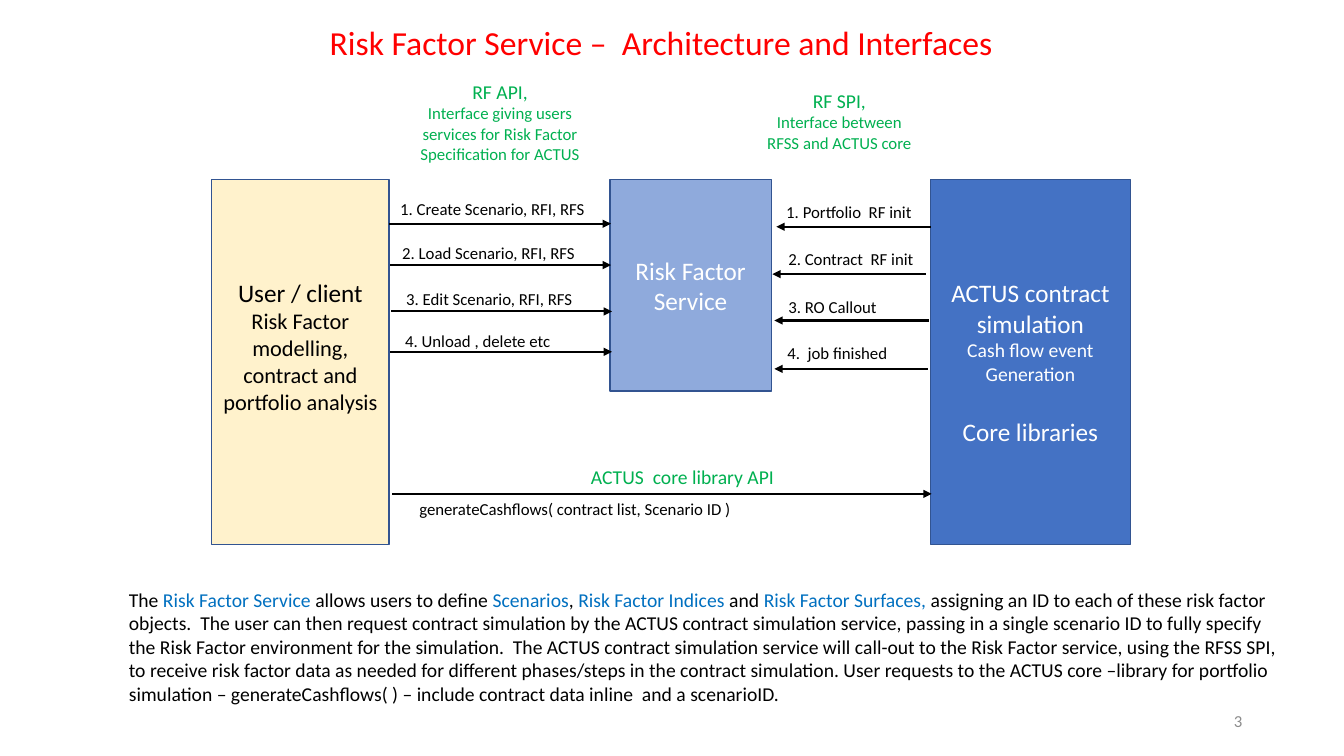
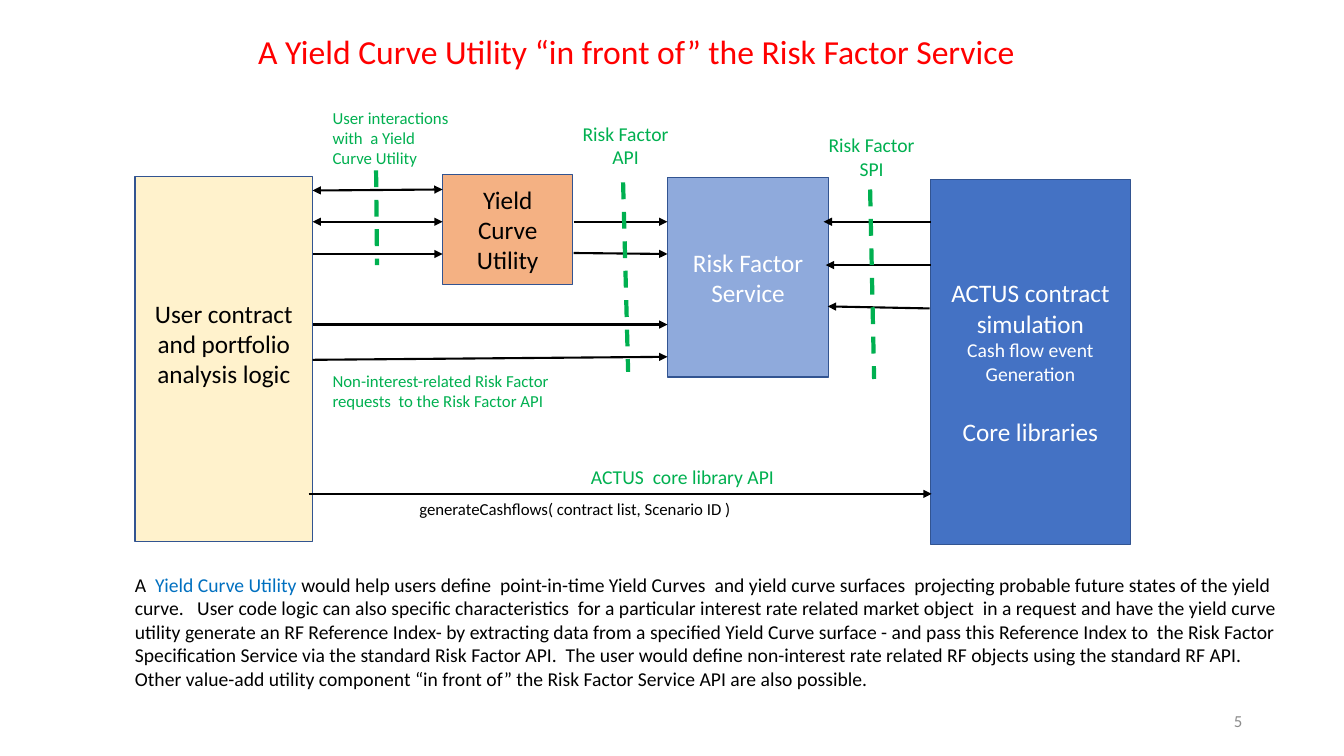
"""Build two slides on the architecture around a risk factor service."""
from dataclasses import dataclass
from lxml.etree import SubElement
from pptx import Presentation
from pptx.dml.color import RGBColor
from pptx.enum.dml import MSO_LINE
from pptx.enum.shapes import MSO_CONNECTOR, MSO_SHAPE
from pptx.enum.text import MSO_ANCHOR, MSO_AUTO_SIZE, PP_ALIGN
from pptx.oxml.ns import qn
from pptx.util import Inches, Pt


@dataclass(frozen=True)
class Theme:
    """Colours, type sizes and line widths."""
    font: str = "Calibri"
    red: str = "FF0000"
    green: str = "00B050"
    link: str = "0070C0"
    ink: str = "000000"
    white: str = "FFFFFF"
    grey: str = "8C8C8C"
    edge: str = "325491"
    cream: str = "FFF2CC"
    sky: str = "8FAADC"
    navy: str = "4472C4"
    peach: str = "F4B183"
    title: int = 24
    head: int = 18
    sub: int = 16
    body: int = 14
    note: int = 12
    thin: float = 1.5
    thick: float = 3


T = Theme()
LEFT, MID, RIGHT = PP_ALIGN.LEFT, PP_ALIGN.CENTER, PP_ALIGN.RIGHT
GAP = 22
FOOT = 0.36

SIM = [("ACTUS contract simulation", T.head), ("Cash flow event", T.body),
       ("Generation", T.body), ("Core libraries", T.head, GAP)]
SERVICE = [("Risk Factor", T.head), ("Service", T.head)]
CALL = "generateCashflows( contract list, Scenario ID )"
CORE = "ACTUS  core library API"

SLIDES = [
    dict(
        title="Risk Factor Service –  Architecture and Interfaces",
        spot=(3.17, 0.17, 6.99, 0.5), number="3", start=3.89,
        boxes=[
            (SERVICE, (6.05, 1.78, 1.6, 2.1), T.sky, T.white, 0.05),
            ([("User / client", T.head), ("Risk Factor modelling,", T.sub),
              ("contract and portfolio analysis", T.sub)],
             (2.1, 1.78, 1.76, 3.62), T.cream, T.ink, FOOT)],
        labels=[
            ([("RF API,", T.body),
              ("Interface giving users services for Risk Factor "
               "Specification for ACTUS", T.note)], (3.98, 0.74, 1.96, 0.94), MID),
            ([("RF SPI,", T.body),
              ("Interface between RFSS and ACTUS core", T.note)],
             (7.48, 0.83, 1.69, 0.74), MID)],
        steps=[
            ("1. Create Scenario, RFI, RFS", (3.87, 1.92, 2.09, 0.3)),
            ("2. Load Scenario, RFI, RFS", (3.89, 2.36, 1.97, 0.3)),
            ("3. Edit Scenario, RFI, RFS", (3.93, 2.82, 1.95, 0.3)),
            ("4. Unload , delete etc", (3.92, 3.23, 1.74, 0.3)),
            ("1. Portfolio  RF init", (7.7, 1.95, 1.5, 0.3)),
            ("2. Contract  RF init", (7.72, 2.42, 1.5, 0.3)),
            ("3. RO Callout", (7.72, 2.89, 1.17, 0.3)),
            ("4.  job finished", (7.71, 3.35, 1.32, 0.3))],
        arrows=[
            (3.86, 2.22, 6.06, 2.22), (3.87, 2.63, 6.06, 2.63),
            (3.88, 3.09, 6.07, 3.09), (3.87, 3.49, 6.07, 3.49),
            (9.23, 2.25, 7.7, 2.25), (9.18, 2.72, 7.66, 2.72),
            (9.21, 3.18, 7.68, 3.18), (9.2, 3.66, 7.68, 3.66)],
        doubles=[], dashes=[],
        text="The *Risk Factor Service *allows users to define *Scenarios*, "
             "*Risk Factor Indices *and *Risk Factor Surfaces,* assigning an ID "
             "to each of these risk factor objects.  The user can then request "
             "contract simulation by the ACTUS contract simulation service, "
             "passing in a single scenario ID to fully specify the Risk Factor "
             "environment for the simulation.  The ACTUS contract simulation "
             "service will call-out to the Risk Factor service, using the RFSS "
             "SPI, to receive risk factor data as needed for different "
             "phases/steps in the contract simulation. User requests to the "
             "ACTUS core –library for portfolio simulation – "
             "generateCashflows( ) – include contract data inline  and a "
             "scenarioID.",
        place=(1.18, 5.78, 11.64, 1.28)),
    dict(
        title="A Yield Curve Utility “in front of” the Risk Factor Service",
        spot=(2.46, 0.26, 7.85, 0.5), number="5", start=3.06,
        boxes=[
            (SERVICE, (6.62, 1.76, 1.6, 1.98), T.sky, T.white, 0.05),
            ([("User contract and portfolio analysis logic", T.head)],
             (1.34, 1.75, 1.76, 3.62), T.cream, T.ink, FOOT),
            ([("Yield Curve Utility", T.head)],
             (4.39, 1.73, 1.29, 1.09), T.peach, T.ink, 0.05)],
        labels=[
            ([("User interactions with  a Yield Curve Utility", T.note)],
             (3.2, 1.02, 1.41, 0.71), LEFT),
            ([("Risk Factor", T.body), ("API", T.body)],
             (5.36, 1.16, 1.69, 0.57), MID),
            ([("Risk Factor", T.body), ("SPI", T.body)],
             (7.8, 1.27, 1.69, 0.57), MID),
            ([("Non-interest-related Risk Factor requests  to the Risk Factor "
               "API", T.note)], (3.2, 3.63, 2.44, 0.5), LEFT)],
        steps=[],
        arrows=[
            (3.1, 2.52, 4.39, 2.52), (5.69, 2.2, 6.62, 2.2),
            (5.69, 2.51, 6.62, 2.52), (3.1, 3.22, 6.62, 3.22),
            (3.1, 3.57, 6.62, 3.54), (9.23, 2.2, 8.17, 2.2),
            (9.23, 2.63, 8.19, 2.63), (9.22, 3.06, 8.21, 3.04)],
        doubles=[(3.1, 1.89, 4.39, 1.88), (3.1, 2.2, 4.39, 2.2)],
        dashes=[(3.73, 1.69, 3.74, 2.63), (6.18, 1.81, 6.23, 3.69),
                (8.63, 1.88, 8.67, 3.76)],
        text="A  *Yield Curve Utility *would help users define  point-in-time "
             "Yield Curves  and yield curve surfaces  projecting probable future "
             "states of the yield curve.   User code logic can also specific "
             "characteristics  for a particular interest rate related market "
             "object  in a request and have the yield curve utility generate an "
             "RF Reference Index- by extracting data from a specified Yield "
             "Curve surface - and pass this Reference Index to  the Risk Factor "
             "Specification Service via the standard Risk Factor API.  The user "
             "would define non-interest rate related RF objects using the "
             "standard RF API. Other value-add utility component “in front of” "
             "the Risk Factor Service API are also possible.",
        place=(1.24, 5.63, 11.64, 1.28)),
]


def rgb(code):
    """Turn a hex code into a colour."""
    return RGBColor.from_string(code)


def write(shape, lines, color=T.ink, align=LEFT, anchor=MSO_ANCHOR.TOP, foot=0.05):
    """Fill a shape with (text, size, gap) lines; asterisks enclose link-coloured runs."""
    frame = shape.text_frame
    frame.word_wrap = True
    frame.auto_size = MSO_AUTO_SIZE.NONE
    frame.vertical_anchor = anchor
    frame.margin_left = frame.margin_right = Inches(0.1)
    frame.margin_top, frame.margin_bottom = Inches(0.05), Inches(foot)
    for row, (text, size, *gap) in enumerate(lines):
        para = frame.add_paragraph() if row else frame.paragraphs[0]
        para.alignment = align
        para.space_before = Pt(gap[0] if gap else 0)
        for turn, part in enumerate(text.split("*")):
            run = para.add_run()
            run.text = part
            run.font.name, run.font.size = T.font, Pt(size)
            run.font.color.rgb = rgb(T.link if turn % 2 else color)


def label(slide, lines, at, **form):
    """Add a text box."""
    write(slide.shapes.add_textbox(*map(Inches, at)), lines, **form)


def block(slide, lines, at, fill, color, foot=0.05):
    """Add a filled box with centred text."""
    shape = slide.shapes.add_shape(MSO_SHAPE.RECTANGLE, *map(Inches, at))
    shape.shadow.inherit = False
    shape.fill.solid()
    shape.fill.fore_color.rgb = rgb(fill)
    shape.line.color.rgb = rgb(T.edge)
    shape.line.width = Pt(1)
    write(shape, lines, color=color, align=MID, anchor=MSO_ANCHOR.MIDDLE, foot=foot)


def link(slide, ends, tips=("tailEnd",), color=T.ink, width=T.thin, dash=None):
    """Add a straight line with arrow tips."""
    wire = slide.shapes.add_connector(MSO_CONNECTOR.STRAIGHT, *map(Inches, ends))
    wire.line.color.rgb = rgb(color)
    wire.line.width = Pt(width)
    if dash:
        wire.line.dash_style = dash
    props = wire._element.spPr
    for tip in tips:
        SubElement(props.find(qn("a:ln")), qn("a:" + tip), type="triangle")
    SubElement(props, qn("a:effectLst"))


def build(deck, data):
    """Add one slide."""
    slide = deck.slides.add_slide(deck.slide_layouts[5])
    title = slide.shapes.title
    title.left, title.top, title.width, title.height = map(Inches, data["spot"])
    write(title, [(data["title"], T.title)], color=T.red)
    block(slide, SIM, (9.23, 1.78, 1.98, 3.62), T.navy, T.white)
    for box in data["boxes"]:
        block(slide, *box)
    for ends in data["arrows"] + [(data["start"], 4.9, 9.24, 4.9)]:
        link(slide, ends)
    for ends in data["doubles"]:
        link(slide, ends, tips=("headEnd", "tailEnd"))
    for ends in data["dashes"]:
        link(slide, ends, tips=(), color=T.green, width=T.thick, dash=MSO_LINE.DASH)
    for text, at in data["steps"] + [(CALL, (4.06, 4.9, 3.51, 0.3))]:
        label(slide, [(text, T.note)], at)
    core = ([(CORE, T.body)], (5.45, 4.56, 2.64, 0.34), MID)
    for lines, at, align in data["labels"] + [core]:
        label(slide, lines, at, color=T.green, align=align)
    label(slide, [(data["text"], T.body)], data["place"])
    label(slide, [(data["number"], T.note)], (9.42, 6.95, 3, 0.4),
          color=T.grey, align=RIGHT, anchor=MSO_ANCHOR.MIDDLE)


def main():
    """Build and save the deck."""
    deck = Presentation()
    deck.slide_width, deck.slide_height = Inches(13.33), Inches(7.5)
    for data in SLIDES:
        build(deck, data)
    deck.save("out.pptx")


main()
